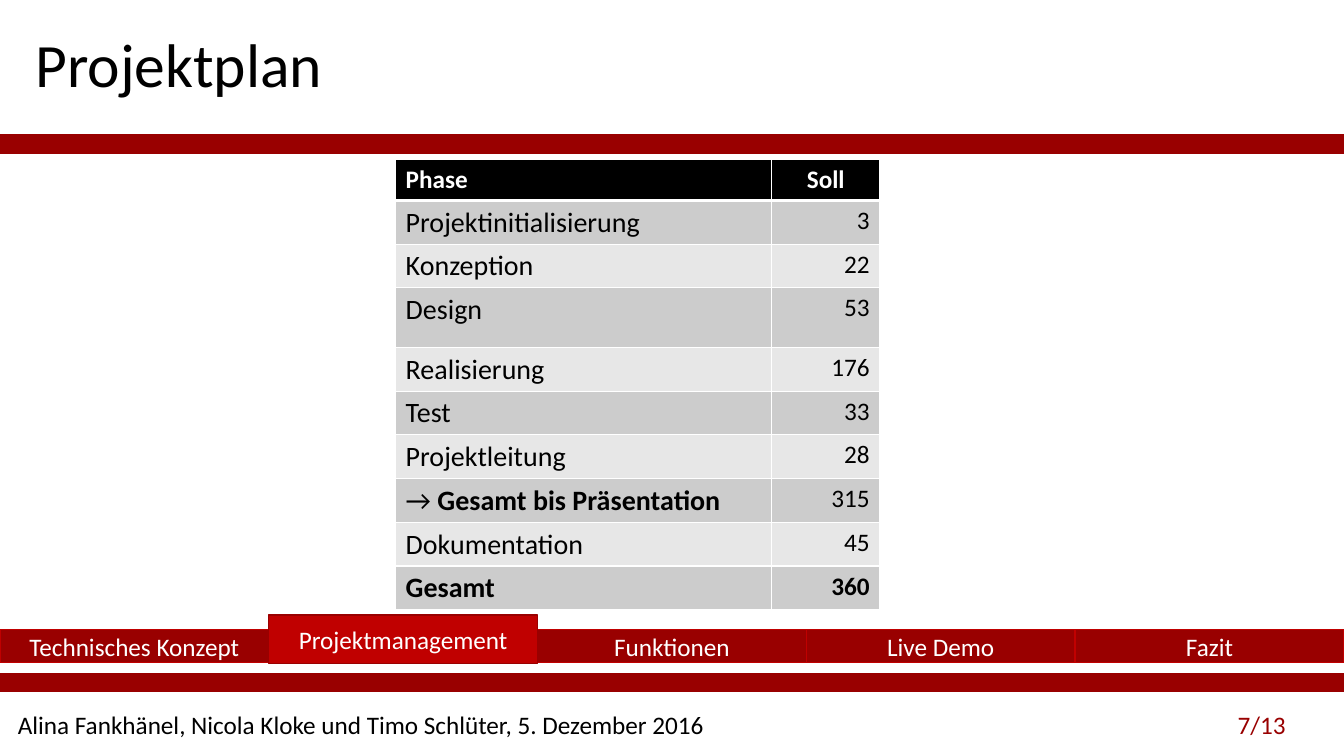
from lxml.etree import SubElement
from pptx import Presentation
from pptx.dml.color import RGBColor
from pptx.enum.shapes import MSO_SHAPE as Shape
from pptx.enum.text import MSO_ANCHOR as Anchor, MSO_AUTO_SIZE as Fit, PP_ALIGN as Align
from pptx.oxml.ns import qn
from pptx.util import Cm, Pt

BLACK = RGBColor(0x00, 0x00, 0x00)
WHITE = RGBColor(0xFF, 0xFF, 0xFF)
MAROON = RGBColor(0x99, 0x00, 0x00)
RED = RGBColor(0xC0, 0x00, 0x00)
DARK = RGBColor(0xCC, 0xCC, 0xCC)
LIGHT = RGBColor(0xE7, 0xE7, 0xE7)

WIDTH, HEIGHT = 33.87, 19.05
TABS = ["Technisches Konzept", "Projektmanagement", "Funktionen", "Live Demo", "Fazit"]
ACTIVE = 1
# Each row: runs of the phase as (text, bold), planned hours, hours bold
PHASES = [
    ([("Projektinitialisierung", False)], "3", False),
    ([("Konzeption", False)], "22", False),
    ([("Design", False)], "53", False),
    ([("Realisierung", False)], "176", False),
    ([("Test", False)], "33", False),
    ([("Projektleitung", False)], "28", False),
    ([("→ ", False), ("Gesamt bis Präsentation", True)], "315", False),
    ([("Dokumentation", False)], "45", False),
    ([("Gesamt", True)], "360", True),
]


class Deck:
    """Holds the text style and the current slide."""

    font = "Calibri"
    size = 18

    def __init__(self, slide):
        self.slide = slide

    def put(self, frame, runs, color=BLACK, size=size, align=Align.LEFT):
        """Fill the first paragraph with (text, bold) runs."""
        para = frame.paragraphs[0]
        para.alignment = align
        for text, bold in runs:
            run = para.add_run()
            run.text = text
            font = run.font
            font.name, font.size, font.bold = self.font, Pt(size), bold
            font.color.rgb = color
        return para

    def title(self, text, *box):
        shape = self.slide.shapes.title
        shape.left, shape.top, shape.width, shape.height = map(Cm, box)
        shape.text_frame.vertical_anchor = Anchor.MIDDLE
        self.put(shape.text_frame, [(text, False)], size=44).line_spacing = 0.9

    def rect(self, fill, line, *box):
        shape = self.slide.shapes.add_shape(Shape.RECTANGLE, *map(Cm, box))
        shape.shadow.inherit = False
        shape.fill.solid()
        shape.fill.fore_color.rgb = fill
        shape.line.color.rgb = line
        shape.line.width = Pt(1)
        return shape

    def tab(self, text, fill, line, *box):
        frame = self.rect(fill, line, *box).text_frame
        frame.vertical_anchor = Anchor.MIDDLE
        self.put(frame, [(text, False)], WHITE, align=Align.CENTER)

    def label(self, text, color, *box):
        frame = self.slide.shapes.add_textbox(*map(Cm, box)).text_frame
        frame.word_wrap = True
        frame.auto_size = Fit.SHAPE_TO_FIT_TEXT
        self.put(frame, [(text, False)], color)

    def table(self, left, top, widths, heights):
        shape = self.slide.shapes.add_table(
            len(heights), len(widths), Cm(left), Cm(top), Cm(sum(widths)), Cm(sum(heights)))
        grid = shape.table
        grid.horz_banding = False
        for col, width in zip(grid.columns, widths):
            col.width = Cm(width)
        for row, height in zip(grid.rows, heights):
            row.height = Cm(height)
        return grid

    def cell(self, cell, runs, fill, base=1, **style):
        """Fill a cell and give it white borders; base is the bottom border in points."""
        props = cell._tc.get_or_add_tcPr()
        for side, width in zip("LRTB", (1, 1, 1, base)):
            line = SubElement(props, qn(f"a:ln{side}"), w=str(Pt(width)))
            paint = SubElement(line, qn("a:solidFill"))
            SubElement(paint, qn("a:srgbClr"), val=str(WHITE))
        cell.fill.solid()
        cell.fill.fore_color.rgb = fill
        self.put(cell.text_frame, runs, **style)


def main():
    prs = Presentation()
    prs.slide_width, prs.slide_height = Cm(WIDTH), Cm(HEIGHT)
    deck = Deck(prs.slides.add_slide(prs.slide_layouts[5]))

    for top in (3.4, 16.97):
        deck.rect(MAROON, MAROON, 0, top, WIDTH, 0.46)
    deck.label("Alina Fankhänel, Nicola Kloke und Timo Schlüter, 5. Dezember 2016",
               BLACK, 0.2, 17.75, 19.63, 1.02)
    deck.label("7/13", MAROON, 30.94, 17.75, 2.72, 1.02)
    deck.title("Projektplan", 0.64, 0.05, 27, 3.3)

    step = WIDTH / len(TABS)
    for i, text in enumerate(TABS):
        if i != ACTIVE:
            deck.tab(text, MAROON, RED, i * step, 15.86, step, 0.84)
    deck.tab(TABS[ACTIVE], RED, MAROON, ACTIVE * step, 15.5, step, 1.22)

    heights = [1.04] * (len(PHASES) + 1)
    heights[3] = 1.5
    grid = deck.table(9.97, 4.01, [9.48, 2.72], heights)
    for col, (text, align) in enumerate([("Phase", Align.LEFT), ("Soll", Align.CENTER)]):
        deck.cell(grid.cell(0, col), [(text, True)], BLACK, base=3, color=WHITE, align=align)
    for row, (phase, hours, bold) in enumerate(PHASES, 1):
        fill = DARK if row % 2 else LIGHT
        deck.cell(grid.cell(row, 0), phase, fill, size=20)
        deck.cell(grid.cell(row, 1), [(hours, bold)], fill, align=Align.RIGHT)

    prs.save("out.pptx")


if __name__ == "__main__":
    main()
